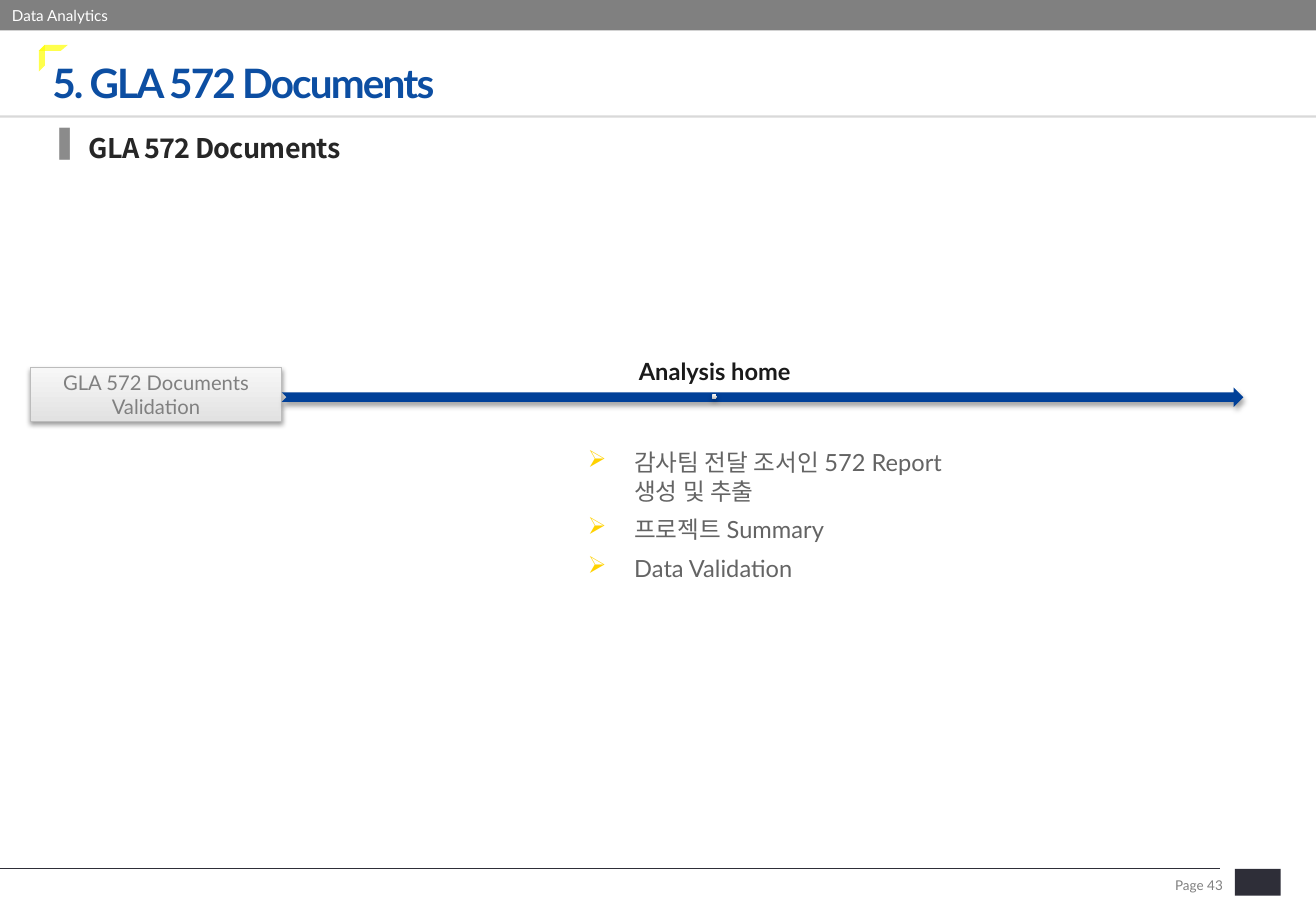
"""Build the GLA 572 Documents slide."""
import pptx
import pptx.dml.color
import pptx.enum.dml
import pptx.enum.shapes
import pptx.enum.text
import pptx.oxml
import pptx.oxml.ns
import pptx.util

Pt = pptx.util.Pt
RGB = pptx.dml.color.RGBColor
SHAPE = pptx.enum.shapes.MSO_SHAPE
ANCHOR = pptx.enum.text.MSO_ANCHOR
ALIGN = pptx.enum.text.PP_ALIGN

BLACK = RGB(0x1A, 0x1A, 0x1A)
WHITE = RGB(0xFF, 0xFF, 0xFF)
INK = RGB(0x2E, 0x2E, 0x38)
DARK = RGB(0x26, 0x26, 0x26)
BODY = RGB(0x64, 0x64, 0x64)
GREY = RGB(0x80, 0x80, 0x80)
RULE = RGB(0xD9, 0xD9, 0xD9)
EDGE = RGB(0xBC, 0xBC, 0xBC)
LOW = RGB(0xE2, 0xE2, 0xE2)
HIGH = RGB(0xF7, 0xF7, 0xF7)
DOT = RGB(0xBE, 0xBE, 0xBE)
BAR = RGB(0x8B, 0x8B, 0x8B)
BLUE = RGB(0x00, 0x40, 0x98)
TITLE = RGB(0x0C, 0x4E, 0xA2)
GOLD = RGB(0xFF, 0xD2, 0x00)
YELLOW = RGB(0xFF, 0xFF, 0x00)


def assign(target, values):
    for name, value in values.items():
        setattr(target, name, value)


def attach(parent, tag, **values):
    child = pptx.oxml.parse_xml(f"<{tag} {pptx.oxml.ns.nsdecls('a')}/>")
    for name, value in values.items():
        child.set(name, str(value))
    parent.append(child)
    return child


def paint(shape, fill, line=None):
    shape.shadow.inherit = False
    if isinstance(fill, tuple) and not isinstance(fill, RGB):
        shape.fill.gradient()
        shape.fill.gradient_angle = 90
        for stop, color in zip(shape.fill.gradient_stops, fill):
            stop.color.rgb = color
    else:
        shape.fill.solid()
        shape.fill.fore_color.rgb = fill
    if line:
        shape.line.color.rgb = line
        shape.line.width = Pt(0.75)
    else:
        shape.line.fill.background()


def shade(shape, alpha, drop):
    effects = shape._element.spPr.find(pptx.oxml.ns.qn("a:effectLst"))
    outer = attach(effects, "a:outerShdw", blurRad=int(Pt(3.1)),
                   dist=int(Pt(drop)), dir=90 * 60000, rotWithShape=0)
    attach(attach(outer, "a:srgbClr", val="000000"), "a:alpha", val=alpha * 1000)


def block(slide, kind, box, fill, line=None):
    shape = slide.shapes.add_shape(kind, *map(Pt, box))
    paint(shape, fill, line)
    return shape


def corner(slide, points):
    pen = slide.shapes.build_freeform(*map(Pt, points[0]))
    pen.add_line_segments([tuple(map(Pt, point)) for point in points[1:]])
    shape = pen.convert_to_shape()
    paint(shape, YELLOW)
    color = shape._element.spPr.find(".//" + pptx.oxml.ns.qn("a:srgbClr"))
    attach(color, "a:alpha", val=70000)


def write(shape, lines, font, layout, inset=(0, 0), anchor=ANCHOR.TOP,
          bullet=None, track=0):
    frame = shape.text_frame
    side, top = map(Pt, inset)
    assign(frame, {"word_wrap": True, "vertical_anchor": anchor,
                   "margin_left": side, "margin_right": side,
                   "margin_top": top, "margin_bottom": top})
    for index, line in enumerate(lines):
        para = frame.add_paragraph() if index else frame.paragraphs[0]
        assign(para, layout)
        if bullet:
            mark, color, indent = bullet
            props = para._p.get_or_add_pPr()
            props.set("marL", str(int(Pt(indent))))
            props.set("indent", str(-int(Pt(indent))))
            attach(attach(props, "a:buClr"), "a:srgbClr", val=color)
            attach(props, "a:buChar", char=mark)
        run = para.add_run()
        run.text = line
        style = dict(font)
        run.font.color.rgb = style.pop("color")
        assign(run.font, {"name": "Lato", **style})
        if track:
            run._r.get_or_add_rPr().set("spc", str(round(track * 100)))


def label(slide, box, *args, **options):
    write(slide.shapes.add_textbox(*map(Pt, box)), *args, **options)


def frame(slide):
    line = slide.shapes.add_connector(
        pptx.enum.shapes.MSO_CONNECTOR.STRAIGHT, *map(Pt, (723, 515, 0, 515)))
    line.line.color.rgb = INK
    line.line.width = Pt(0.75)
    attach(line._element.spPr, "a:effectLst")
    block(slide, SHAPE.RECTANGLE, (732, 515, 27, 16), INK)
    corner(slide, [(26.6, 26.6), (40.3, 26.6), (36, 30.2), (23, 30.2)])
    corner(slide, [(26.6, 26.6), (26.6, 38.9), (23, 42.5), (23, 30.2)])
    block(slide, SHAPE.RECTANGLE, (0, 68.4, 780, 1.4), RULE)
    label(slide, (680, 517.7, 52, 14.4), ["Page 43"],
          {"size": Pt(8), "color": GREY}, {"alignment": ALIGN.RIGHT},
          inset=(7.2, 3.6), anchor=ANCHOR.MIDDLE)
    band = block(slide, SHAPE.RECTANGLE, (0, 0, 780, 18), GREY)
    write(band, ["Data Analytics"], {"size": Pt(9), "color": WHITE},
          {"alignment": ALIGN.LEFT}, inset=(7.2, 3.6), anchor=ANCHOR.MIDDLE)


def flow(slide):
    step = block(slide, SHAPE.RECTANGLE, (18, 218, 149, 31.7), (LOW, HIGH), EDGE)
    shade(step, 38, 1.6)
    write(step, ["GLA 572 Documents Validation"],
          {"size": Pt(12), "color": GREY}, {"alignment": ALIGN.CENTER},
          inset=(3.6, 3.6), anchor=ANCHOR.MIDDLE)
    arrow = block(slide, SHAPE.NOTCHED_RIGHT_ARROW, (167, 229.7, 570, 11.5), BLUE)
    shade(arrow, 35, 1.8)
    label(slide, (167, 221, 513.4, 11.5), ["Analysis home"],
          {"size": Pt(14), "color": BLACK, "bold": True},
          {"alignment": ALIGN.CENTER, "line_spacing": 0.9},
          inset=(7.9, 7.9), anchor=ANCHOR.BOTTOM)
    dot = block(slide, SHAPE.OVAL, (421.9, 233.7, 3, 3), (DOT, HIGH))
    shade(dot, 35, 1.8)


def main():
    deck = pptx.Presentation()
    assign(deck, {"slide_width": Pt(780), "slide_height": Pt(540)})
    slide = deck.slides.add_slide(deck.slide_layouts[6])
    frame(slide)
    label(slide, (31, 26.6, 636, 44.6), ["5. GLA 572 Documents"],
          {"size": Pt(24), "color": TITLE, "bold": True}, {},
          anchor=ANCHOR.MIDDLE, track=-1.1)
    label(slide, (35.3, 77.8, 702, 21), ["GLA 572 Documents"],
          {"size": Pt(16), "color": DARK, "bold": True,
           "name": "Noto Sans CJK KR"}, {},
          bullet=("▌", BAR, 17.4), track=-0.4)
    flow(slide)
    label(slide, (348.5, 265.7, 221.8, 175.7),
          ["감사팀 전달 조서인 572 Report 생성 및 추출",
           "프로젝트 Summary", "Data Validation"],
          {"size": Pt(14), "color": BODY}, {"space_after": Pt(6)},
          bullet=("➢", GOLD, 27.4))
    deck.save("out.pptx")


if __name__ == "__main__":
    main()
